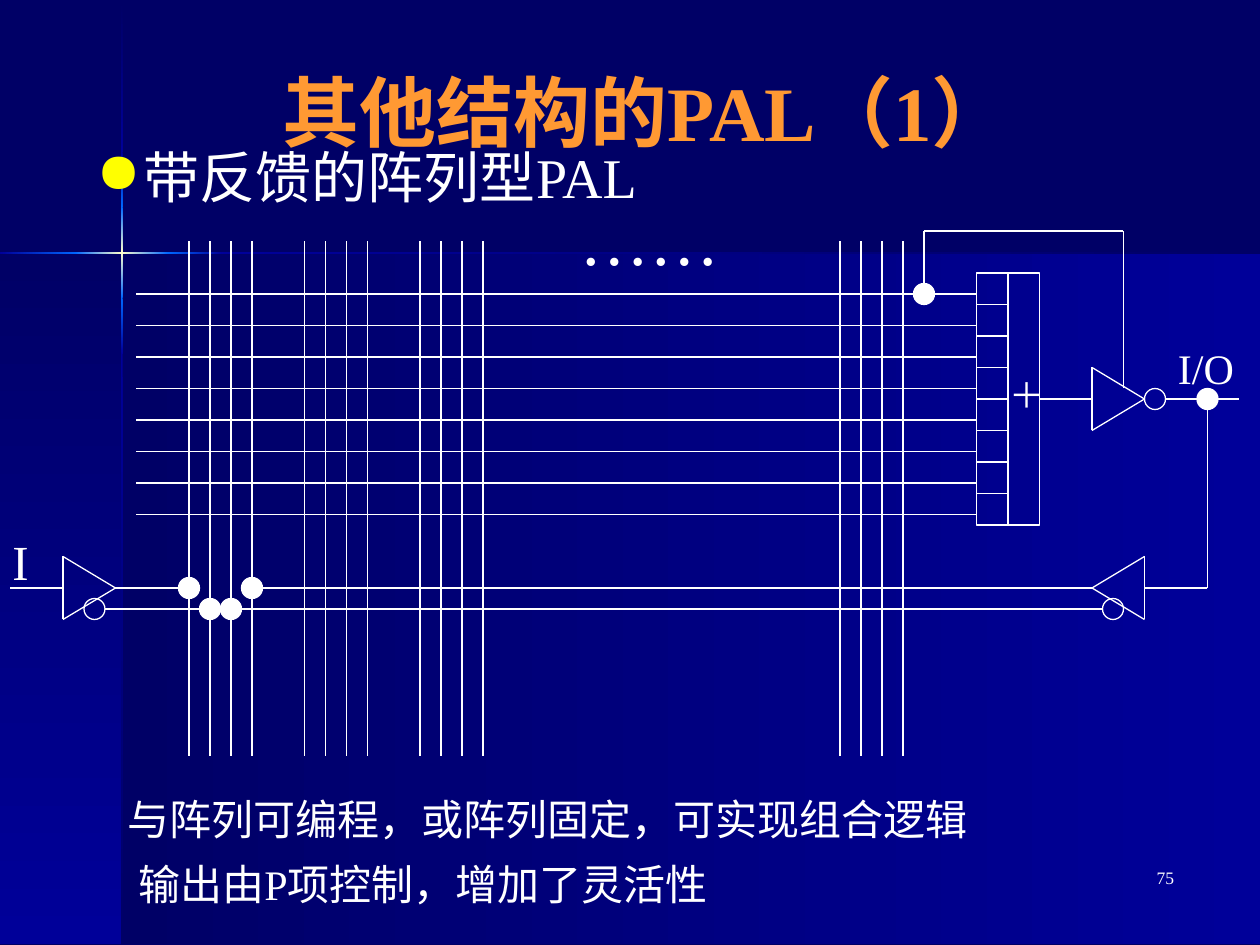
from dataclasses import dataclass
from itertools import pairwise

from lxml import etree
from pptx import Presentation
from pptx import util as u
from pptx.dml.color import RGBColor
from pptx.enum import shapes, text
from pptx.oxml.ns import qn

PX = 7620  # EMU per px, 120 px to the inch


@dataclass(frozen=True)
class Theme:
    font: str = "Times New Roman"
    ink: str = "FFFFFF"
    title: str = "FF9933"
    bullet: str = "FFFF00"
    dark: str = "000066"
    blue: str = "000099"
    bright: str = "0066FF"
    glow: str = "FFFFCC"
    line: float = 0.75
    title_size: int = 44
    body_size: int = 32
    dots_size: int = 40
    input_size: int = 28
    note_size: int = 24
    gate_size: int = 20
    number_size: int = 10


class Deck:
    """Holds the theme and the current slide; every length is in px."""

    def __init__(self, theme):
        self.t = theme
        self.prs = Presentation()
        self.prs.slide_width, self.prs.slide_height = self.emu(1200, 900)

    @staticmethod
    def emu(*lengths):
        return [u.Emu(n * PX) for n in lengths]

    def new_slide(self):
        self.s = self.prs.slides.add_slide(self.prs.slide_layouts[5])
        fill = self.s.background.fill
        fill.solid()
        fill.fore_color.rgb = RGBColor.from_string(self.t.dark)

    def set_text(self, tf, words, size, color=None, bold=False, align=None):
        p = tf.paragraphs[0]
        p.alignment = align
        r = p.add_run()
        r.text = words
        style = {"name": self.t.font, "size": u.Pt(size), "bold": bold}
        for key, value in style.items():
            setattr(r.font, key, value)
        r.font.color.rgb = RGBColor.from_string(color or self.t.ink)
        return p

    def title(self, words, *box):
        sp = self.s.shapes.title
        for key, value in zip(("left", "top", "width", "height"), self.emu(*box)):
            setattr(sp, key, value)
        tf = sp.text_frame
        tf.auto_size = text.MSO_AUTO_SIZE.NONE
        tf.vertical_anchor = text.MSO_ANCHOR.MIDDLE
        self.set_text(tf, words, self.t.title_size, self.t.title, True,
                      text.PP_ALIGN.CENTER)
        self.s.shapes._spTree.append(sp._element)  # in front of the backdrop

    def label(self, words, size, *box, align=None):
        tf = self.s.shapes.add_textbox(*self.emu(*box)).text_frame
        tf.word_wrap = True
        return self.set_text(tf, words, size, align=align)

    def bullet(self, words, *box):
        pPr = self.label(words, self.t.body_size, *box)._p.get_or_add_pPr()
        indent = 45 * PX
        pPr.set("marL", str(indent))
        pPr.set("indent", str(-indent))
        color = etree.SubElement(pPr, qn("a:buClr"))
        etree.SubElement(color, qn("a:srgbClr"), val=self.t.bullet)
        etree.SubElement(pPr, qn("a:buChar"), char="●")

    def gradient(self, colors, vertical, *box):
        """Add a borderless bar shaded left to right, or top to bottom."""
        sp = self.s.shapes.add_shape(shapes.MSO_SHAPE.RECTANGLE, *self.emu(*box))
        sp.shadow.inherit = False
        sp.line.fill.background()
        sp.fill.gradient()
        sp.fill.gradient_angle = 270 if vertical else 0
        stops = sp._element.spPr.find(".//" + qn("a:gsLst"))
        for old in list(stops):
            stops.remove(old)
        for i, color in enumerate(colors):
            pos = 100000 * i // (len(colors) - 1)
            stop = etree.SubElement(stops, qn("a:gs"), pos=str(pos))
            etree.SubElement(stop, qn("a:srgbClr"), val=color)

    def outline(self, kind, *box, solid=False):
        sp = self.s.shapes.add_shape(kind, *self.emu(*box))
        sp.shadow.inherit = False
        ink = RGBColor.from_string(self.t.ink)
        sp.line.color.rgb = ink
        sp.line.width = u.Pt(self.t.line)
        if solid:
            sp.fill.solid()
            sp.fill.fore_color.rgb = ink
        else:
            sp.fill.background()
        return sp

    def rect(self, *box):
        return self.outline(shapes.MSO_SHAPE.RECTANGLE, *box)

    def circle(self, x, y, solid=False):
        """Add a 20 px circle centred on x, y."""
        self.outline(shapes.MSO_SHAPE.OVAL, x - 10, y - 10, 20, 20, solid=solid)

    def wire(self, *points):
        """Join the points by straight lines and return the last one."""
        for start, end in pairwise(points):
            c = self.s.shapes.add_connector(
                shapes.MSO_CONNECTOR.STRAIGHT, *self.emu(*start, *end))
            c.line.color.rgb = RGBColor.from_string(self.t.ink)
            c.line.width = u.Pt(self.t.line)
            etree.SubElement(c._element.spPr, qn("a:effectLst"))
        return c

    def buffer(self, base, tip, y):
        self.wire((base, y - 30), (base, y + 30), (tip, y), (base, y - 30))


def backdrop(d):
    t = d.t
    d.gradient((t.dark, t.blue), False, 116, 241, 1084, 658)
    d.gradient((t.dark, t.blue), True, 0, 241, 116, 658)
    rise, fall = (t.blue, t.bright), (t.bright, t.blue)
    flare = (t.bright, t.glow, t.bright)
    d.gradient((t.dark, t.blue), True, 115, 0, 2, 145)
    d.gradient((t.blue, t.dark), True, 115, 337, 2, 562)
    d.gradient((t.blue, t.dark), False, 212, 240, 988, 2)
    for colors, y, height in ((fall, 284, 53), (rise, 145, 52), (flare, 197, 87)):
        d.gradient(colors, True, 115, y, 2, height)
    for colors, x, width in ((rise, 0, 73), (fall, 160, 52), (flare, 72, 88)):
        d.gradient(colors, False, x, 240, width, 2)


def and_or_array(d):
    for row in range(8):
        d.wire((930, 280 + 30 * row), (130, 280 + 30 * row))
        d.rect(930, 260 + 30 * row, 30, 30)
    for group in (180, 290, 400, 800):
        for x in range(group, group + 80, 20):
            d.wire((x, 230), (x, 720))
    d.label("……", d.t.dots_size, 540, 180, 250, 92)


def output_stage(d):
    or_gate = d.rect(960, 260, 30, 240)
    d.label("＋", d.t.gate_size, 950, 350, 50, 53)
    d.wire((990, 380), (1040, 380)).begin_connect(or_gate, 3)
    d.buffer(1040, 1090, 380)
    d.circle(1100, 380)
    d.wire((1070, 370), (1070, 220), (880, 220), (880, 280))
    d.circle(880, 280, solid=True)
    d.wire((1110, 380), (1180, 380))
    d.circle(1150, 380, solid=True)
    d.label("I/O", d.t.note_size, 1110, 320, 80, 60)


def input_and_feedback(d):
    d.wire((1150, 380), (1150, 560), (1090, 560))
    d.buffer(1090, 1040, 560)
    d.circle(1060, 580)
    d.wire((1040, 560), (240, 560))
    d.wire((220, 580), (1050, 580))

    d.label("I", d.t.input_size, 0, 500, 60, 68)
    d.wire((60, 560), (10, 560))
    d.buffer(60, 110, 560)
    d.circle(90, 580)
    d.wire((180, 560), (110, 560))
    d.wire((200, 580), (100, 580))
    for x, y in ((180, 560), (200, 580), (220, 580), (240, 560)):
        d.circle(x, y, solid=True)


def main():
    d = Deck(Theme())
    d.new_slide()
    backdrop(d)
    d.label("75", d.t.number_size, 880, 820, 250, 60, align=text.PP_ALIGN.RIGHT)
    d.title("其他结构的PAL（1）", 80, 40, 1070, 130)
    d.bullet("带反馈的阵列型PAL", 80, 130, 1070, 610)
    and_or_array(d)
    output_stage(d)
    input_and_feedback(d)
    d.label("与阵列可编程，或阵列固定，可实现组合逻辑", d.t.note_size, 110, 750, 990, 60)
    d.label("输出由P项控制，增加了灵活性", d.t.note_size, 120, 812, 990, 60)
    d.prs.save("out.pptx")


if __name__ == "__main__":
    main()
